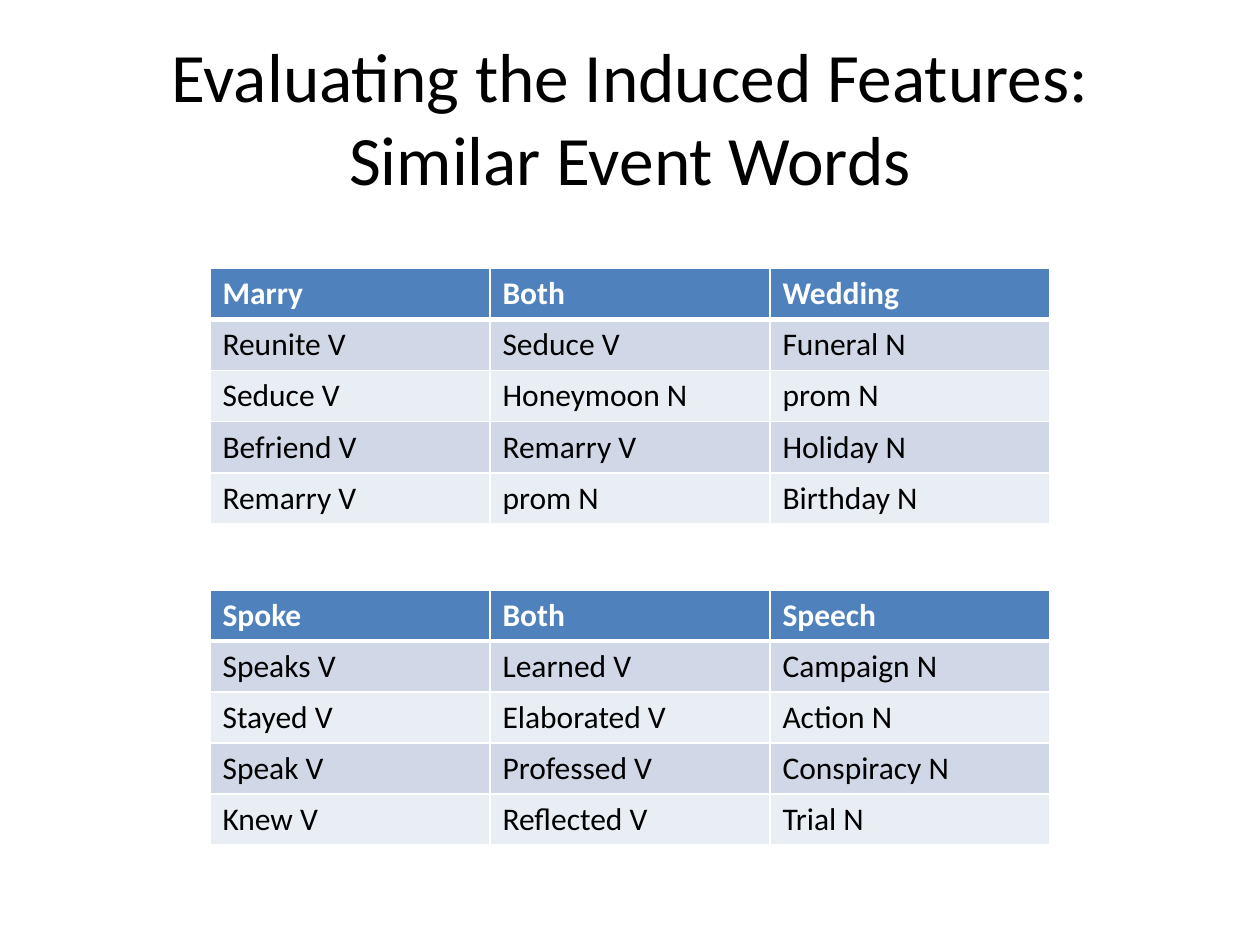
from dataclasses import dataclass

import pptx
import pptx.dml.color
import pptx.enum.text
import pptx.oxml
import pptx.oxml.ns
import pptx.slide
import pptx.table
import pptx.util

Pt = pptx.util.Pt
RGBColor = pptx.dml.color.RGBColor

BLACK = RGBColor(0x00, 0x00, 0x00)
WHITE = RGBColor(0xFF, 0xFF, 0xFF)
BLUE = RGBColor(0x4F, 0x81, 0xBD)
BANDS = (RGBColor(0xE9, 0xED, 0xF4), RGBColor(0xD0, 0xD8, 0xE8))

FONT = "Calibri"
LEFT, COL, ROW = 120, 160, 29.2


@dataclass
class Grid:
    top: float
    rows: list[tuple[str, str, str]]


GRIDS = [
    Grid(153.4, [
        ("Marry", "Both", "Wedding"),
        ("Reunite V", "Seduce V", "Funeral N"),
        ("Seduce V", "Honeymoon N", "prom N"),
        ("Befriend V", "Remarry V", "Holiday N"),
        ("Remarry V", "prom N", "Birthday N"),
    ]),
    Grid(337, [
        ("Spoke", "Both", "Speech"),
        ("Speaks V", "Learned V", "Campaign N"),
        ("Stayed V", "Elaborated V", "Action N"),
        ("Speak V", "Professed V", "Conspiracy N"),
        ("Knew V", "Reflected V", "Trial N"),
    ]),
]


def set_edge(cell: pptx.table._Cell, side: str, width: float) -> None:
    """Add a white border on one side (L, R, T or B); call before filling."""
    cell._tc.get_or_add_tcPr().append(pptx.oxml.parse_xml(
        f'<a:ln{side} {pptx.oxml.ns.nsdecls("a")} w="{Pt(width)}">'
        f'<a:solidFill><a:srgbClr val="{WHITE}"/></a:solidFill></a:ln{side}>'))


def fill_cell(cell: pptx.table._Cell, text: str, row: int) -> None:
    head = row == 0
    edges = {"L": 1, "R": 1, "T": 3 if row == 1 else 1, "B": 3 if head else 1}
    for side, width in edges.items():
        set_edge(cell, side, width)
    cell.fill.solid()
    cell.fill.fore_color.rgb = BLUE if head else BANDS[row % 2]
    cell.text = text
    font = cell.text_frame.paragraphs[0].font
    font.name, font.size, font.bold = FONT, Pt(18), head
    font.color.rgb = WHITE if head else BLACK


def draw_grid(slide: pptx.slide.Slide, grid: Grid) -> None:
    count, wide = len(grid.rows), len(grid.rows[0])
    table = slide.shapes.add_table(
        count, wide, Pt(LEFT), Pt(grid.top), Pt(wide * COL), Pt(count * ROW)).table
    for col in table.columns:
        col.width = Pt(COL)
    for r, words in enumerate(grid.rows):
        table.rows[r].height = Pt(ROW)
        for c, word in enumerate(words):
            fill_cell(table.cell(r, c), word, r)


def draw_title(slide: pptx.slide.Slide, text: str) -> None:
    frame = slide.shapes.add_textbox(Pt(36), Pt(21.6), Pt(648), Pt(90)).text_frame
    frame.word_wrap = True
    frame.vertical_anchor = pptx.enum.text.MSO_ANCHOR.MIDDLE
    par = frame.paragraphs[0]
    par.text = text
    par.alignment = pptx.enum.text.PP_ALIGN.CENTER
    par.font.name, par.font.size = FONT, Pt(39.6)
    par.font.color.rgb = BLACK


def main() -> None:
    deck = pptx.Presentation()
    deck.slide_width, deck.slide_height = Pt(720), Pt(540)
    slide = deck.slides.add_slide(deck.slide_layouts[6])
    draw_title(slide, "Evaluating the Induced Features:\vSimilar Event Words")
    for grid in GRIDS:
        draw_grid(slide, grid)
    deck.save("out.pptx")


if __name__ == "__main__":
    main()
